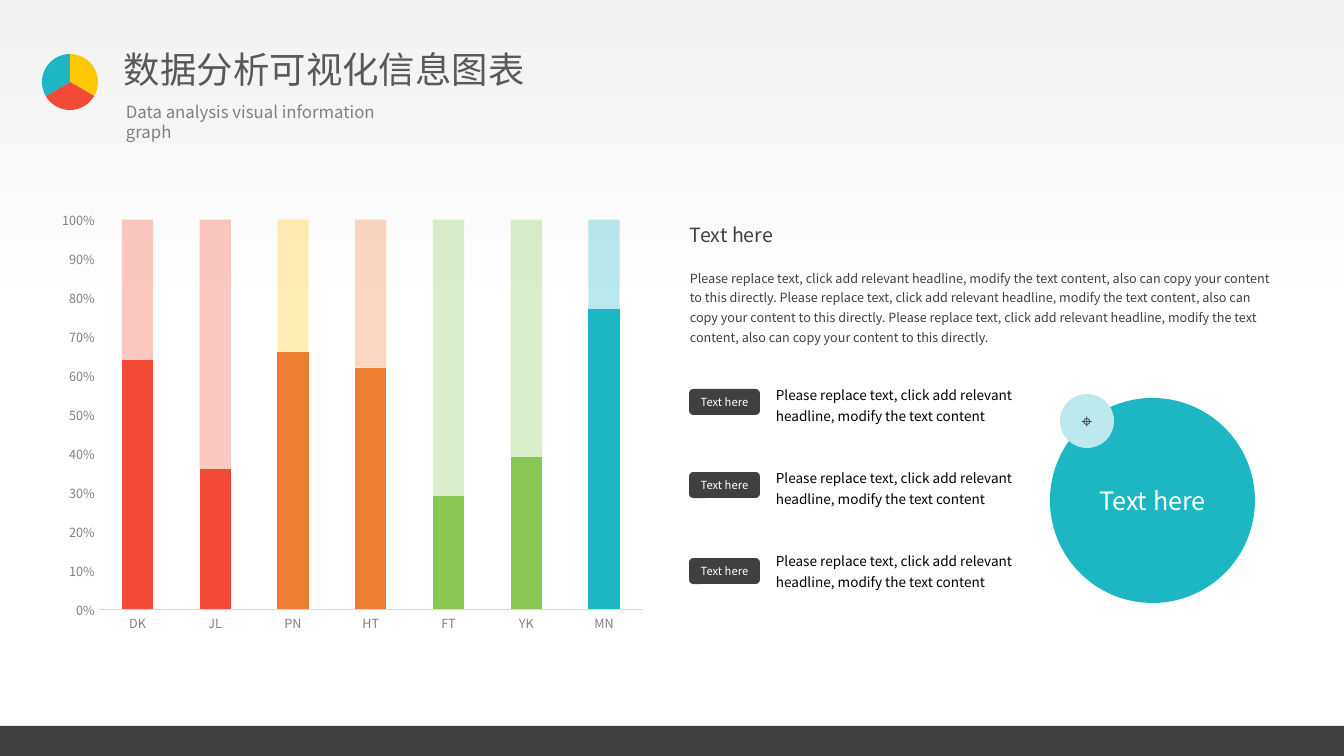
import pptx
import pptx.chart.data
import pptx.dml.color
import pptx.enum.chart
import pptx.enum.shapes
import pptx.enum.text
import pptx.oxml.ns
import pptx.util
from lxml import etree

SHAPE = pptx.enum.shapes.MSO_SHAPE
ALIGN = pptx.enum.text.PP_ALIGN
ANCHOR = pptx.enum.text.MSO_ANCHOR
qn = pptx.oxml.ns.qn

RED, ORANGE, YELLOW, GREEN, TEAL = "F24A36", "ED7D31", "FEC805", "88C754", "1DB7C4"
DARK, GRAY, WHITE, BLACK = "404040", "808080", "FFFFFF", "000000"

HEADLINE = ("Please replace text, click add relevant headline, "
            "modify the text content")
SENTENCE = HEADLINE + ", also can copy your content to this directly."


def rgb(code):
    """Turn a hex string into a colour."""
    return pptx.dml.color.RGBColor.from_string(code)


def px(length):
    """Turn px into EMU."""
    return round(length * 914400 / 100.8)


def write(para, text, size, color, face, spacing=None, align=None, before=None):
    """Add a formatted span of text to a paragraph."""
    if spacing:
        para.line_spacing = spacing
    if align is not None:
        para.alignment = align
    if before:
        para.space_before = pptx.util.Pt(before)
    span = para.add_run()
    span.text = text
    span.font.size = pptx.util.Pt(size)
    span.font.color.rgb = rgb(color)
    span.font.name = face
    east = etree.SubElement(span.font._element, qn("a:ea"))
    east.set("typeface", face)


class Page:
    """Holds the style and the current slide."""

    def __init__(self, deck, face):
        """Add a blank slide to the deck."""
        self.slide = deck.slides.add_slide(deck.slide_layouts[6])
        self.face = face

    def background(self, stops):
        """Fill the slide with a gradient from top to bottom."""
        fill = self.slide.background.fill
        fill.gradient()
        fill.gradient_angle = 270
        for stop, (position, color) in zip(fill.gradient_stops, stops):
            stop.position = position
            stop.color.rgb = rgb(color)

    def text(self, x, y, width, height, paras, wrap=True):
        """Add a text box from (text, format) pairs."""
        box = self.slide.shapes.add_textbox(px(x), px(y), px(width), px(height))
        frame = box.text_frame
        frame.word_wrap = wrap
        for index, (words, style) in enumerate(paras):
            para = frame.add_paragraph() if index else frame.paragraphs[0]
            write(para, words, face=self.face, **style)

    def shape(self, kind, x, y, width, height, color, words=None, size=None,
              ink=WHITE, wrap=True):
        """Add a filled shape with optional centred text."""
        shape = self.slide.shapes.add_shape(kind, px(x), px(y), px(width), px(height))
        shape.shadow.inherit = False
        shape.fill.solid()
        shape.fill.fore_color.rgb = rgb(color)
        shape.line.fill.background()
        if words:
            frame = shape.text_frame
            frame.word_wrap = wrap
            frame.vertical_anchor = ANCHOR.MIDDLE
            write(frame.paragraphs[0], words, size, ink, self.face, align=ALIGN.CENTER)
        return shape

    def pie(self, x, y, size, colors, start):
        """Add equal pie slices clockwise from a start angle."""
        sweep = 360 / len(colors)
        for index, color in enumerate(colors):
            slice_ = self.shape(SHAPE.PIE, x, y, size, size, color)
            first = (start + index * sweep) % 360
            slice_.adjustments[0] = first * 0.6
            slice_.adjustments[1] = (first + sweep) % 360 * 0.6

    def axis(self, axis):
        """Give an axis its labels without ticks or gridlines."""
        axis.has_major_gridlines = False
        axis.major_tick_mark = pptx.enum.chart.XL_TICK_MARK.NONE
        font = axis.tick_labels.font
        font.size = pptx.util.Pt(9)
        font.color.rgb = rgb(GRAY)
        font.name = self.face

    def column_chart(self, x, y, width, height, rows):
        """Add a 100% stacked chart from (category, value, colour, rest colour) rows."""
        data = pptx.chart.data.CategoryChartData()
        data.categories = [row[0] for row in rows]
        data.add_series("Series 1", [row[1] for row in rows])
        data.add_series("Series 2", [100 - row[1] for row in rows])
        kind = pptx.enum.chart.XL_CHART_TYPE.COLUMN_STACKED_100
        chart = self.slide.shapes.add_chart(
            kind, px(x), px(y), px(width), px(height), data).chart
        chart.has_legend = False
        chart.has_title = False
        chart.font.size = pptx.util.Pt(10)
        chart.font.name = "Calibri"
        chart.font.color.rgb = rgb(BLACK)
        plot = chart.plots[0]
        plot.vary_by_categories = False
        plot.gap_width = 150
        plot.overlap = 100

        self.axis(chart.category_axis)
        line = chart.category_axis.format.line
        line.color.rgb = rgb("D9D9D9")
        line.width = pptx.util.Pt(0.75)
        values = chart.value_axis
        self.axis(values)
        values.format.line.fill.background()
        values.minimum_scale, values.maximum_scale, values.major_unit = 0, 1, 0.1
        values.tick_labels.number_format = "0%"
        values.tick_labels.number_format_is_linked = False

        for series, column, base in zip(plot.series, (2, 3), ("4472C4", ORANGE)):
            series.format.fill.solid()
            series.format.fill.fore_color.rgb = rgb(base)
            for index, row in enumerate(rows):
                point = series.points[index].format
                point.fill.solid()
                point.fill.fore_color.rgb = rgb(row[column])
                if column == 3:
                    for color in point._element.iter(qn("a:srgbClr")):
                        etree.SubElement(color, qn("a:alpha")).set("val", "30000")


def main():
    """Build the slide and save it."""
    deck = pptx.Presentation()
    deck.slide_width, deck.slide_height = px(1344), px(756)
    page = Page(deck, "Noto Sans CJK SC")

    page.background([(0, "F2F2F2"), (0.44, WHITE)])
    page.text(114, 42, 431, 54,
              [("数据分析可视化信息图表", dict(size=26, color="595959"))], wrap=False)
    page.pie(42, 54, 56, [YELLOW, RED, TEAL], start=270)
    page.text(116, 97, 311, 30,
              [("Data analysis visual information graph", dict(size=12, color=GRAY))])
    page.shape(SHAPE.RECTANGLE, 0, 726, 1344, 30, DARK)

    page.column_chart(50, 202, 605, 438, [
        ("DK", 64, RED, RED),
        ("JL", 36, RED, RED),
        ("PN", 66, ORANGE, YELLOW),
        ("HT", 62, ORANGE, ORANGE),
        ("FT", 29, GREEN, GREEN),
        ("YK", 39, GREEN, GREEN),
        ("MN", 77, TEAL, TEAL),
    ])

    page.text(680, 211, 605, 139, [
        ("Text here", dict(size=14, color=DARK, spacing=1.3)),
        (" ".join([SENTENCE] * 3), dict(size=9, color=DARK, spacing=1.3, before=14)),
    ])
    page.shape(SHAPE.OVAL, 1050, 398, 205, 205, TEAL, "Text here", 18)
    page.shape(SHAPE.OVAL, 1060, 394, 54, 54, "BBE9ED", "⌖", 14, ink=DARK)
    for index, label_top in enumerate((389, 472, 558)):
        page.shape(SHAPE.ROUNDED_RECTANGLE, 689, label_top, 71, 26, DARK,
                   "Text here", 8, wrap=False)
        page.text(766, 377 + 83 * index, 262, 53,
                  [(HEADLINE, dict(size=9.7, color=BLACK, spacing=1.3))])

    deck.save("out.pptx")


if __name__ == "__main__":
    main()
